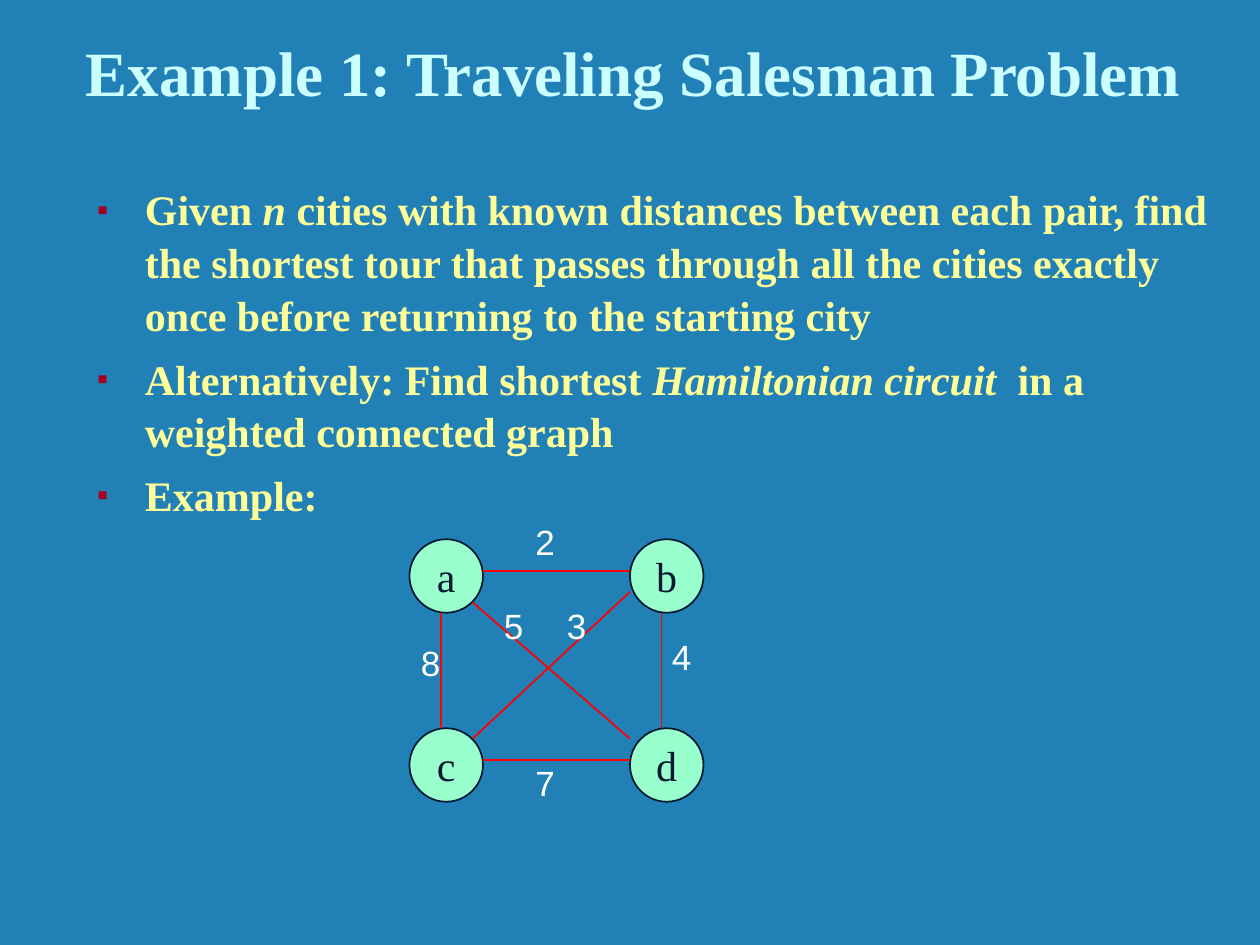
from dataclasses import dataclass

from lxml.etree import SubElement
from pptx import Presentation
from pptx.dml.color import RGBColor
from pptx.enum.shapes import MSO_CONNECTOR, MSO_SHAPE
from pptx.enum.text import MSO_ANCHOR, MSO_AUTO_SIZE, PP_ALIGN
from pptx.oxml.ns import qn
from pptx.shapes.base import BaseShape
from pptx.shapes.shapetree import GroupShapes
from pptx.text.text import TextFrame, _Paragraph
from pptx.util import Inches, Length, Pt


@dataclass(frozen=True)
class TextStyle:
    font: str
    size: int
    color: str
    bold: bool = False


@dataclass(frozen=True)
class Theme:
    background: str = "2181B7"
    bullet: str = "A50021"
    node_fill: str = "99FFCC"
    node_line: str = "001932"
    edge: str = "FF0000"
    title: TextStyle = TextStyle("Times New Roman", 36, "CCFFFF", True)
    body: TextStyle = TextStyle("Times New Roman", 24, "FFFF99", True)
    node: TextStyle = TextStyle("Times New Roman", 24, "001932")
    weight: TextStyle = TextStyle("Arial", 20, "FFFFFF")


@dataclass(frozen=True)
class City:
    name: str
    column: int
    row: int


@dataclass(frozen=True)
class Road:
    weight: str
    start: tuple[int, int]
    end: tuple[int, int]
    label: tuple[float, float]


THEME = Theme()
GRID_LEFT, GRID_TOP, GRID_UNIT = 3.25, 4.28, 1 / 12
CITY_SIZE, COLUMN_STEP, ROW_STEP = 7, 21, 18
LABEL_WIDTH, LABEL_HEIGHT = Inches(0.35), Inches(0.44)

CITIES = [City("a", 0, 0), City("b", 1, 0), City("c", 0, 1), City("d", 1, 1)]
ROADS = [
    Road("2", (7, 3), (21, 3), (12.9, 0.25)),
    Road("8", (3, 7), (3, 18), (2, 11.75)),
    Road("7", (7, 21), (21, 21), (12.9, 23.25)),
    Road("4", (24, 7), (24, 18), (25.9, 11.25)),
    Road("5", (6, 6), (21, 19), (9.9, 8.25)),
    Road("3", (21, 5), (6, 19), (15.9, 8.25)),
]
BULLETS = [
    [
        ("Given ", False),
        ("n", True),
        (" cities with known distances between each pair, find the shortest tour that "
         "passes through all the cities exactly once before returning to the starting city", False),
    ],
    [
        ("Alternatively: Find shortest ", False),
        ("Hamiltonian circuit", True),
        ("  in a weighted connected graph", False),
    ],
    [("Example:", False)],
]


def rgb(color: str) -> RGBColor:
    return RGBColor.from_string(color)


def grid_x(column: float) -> Length:
    return Inches(GRID_LEFT + column * GRID_UNIT)


def grid_y(row: float) -> Length:
    return Inches(GRID_TOP + row * GRID_UNIT)


def add_span(para: _Paragraph, text: str, style: TextStyle, italic: bool = False) -> None:
    span = para.add_run()
    span.text = text
    span.font.name = style.font
    span.font.size = Pt(style.size)
    span.font.bold = style.bold
    span.font.italic = italic
    span.font.color.rgb = rgb(style.color)


def place(box: BaseShape, left: float, top: float, width: float, height: float) -> None:
    box.left, box.top = Inches(left), Inches(top)
    box.width, box.height = Inches(width), Inches(height)


def add_bullet(para: _Paragraph) -> None:
    properties = para._p.get_or_add_pPr()
    properties.set("marL", str(Inches(0.38)))
    properties.set("indent", str(-Inches(0.38)))
    color = SubElement(properties, qn("a:buClr"))
    SubElement(color, qn("a:srgbClr"), val=THEME.bullet)
    SubElement(properties, qn("a:buSzPct"), val="75000")
    SubElement(properties, qn("a:buFont"), typeface="Arial")
    SubElement(properties, qn("a:buChar"), char="▪")


def fill_title(title: BaseShape) -> None:
    place(title, 0.58, 0.17, 9.42, 0.75)
    frame = title.text_frame
    frame.auto_size = MSO_AUTO_SIZE.NONE
    frame.vertical_anchor = MSO_ANCHOR.BOTTOM
    para = frame.paragraphs[0]
    para.alignment = PP_ALIGN.LEFT
    add_span(para, "Example 1: Traveling Salesman Problem", THEME.title)


def fill_body(body: BaseShape) -> None:
    place(body, 0.67, 1.39, 9.08, 5.36)
    frame = body.text_frame
    frame.auto_size = MSO_AUTO_SIZE.NONE
    for index, spans in enumerate(BULLETS):
        para = frame.add_paragraph() if index else frame.paragraphs[0]
        para.line_spacing = 1.05
        para.space_before = Pt(6)
        add_bullet(para)
        for text, italic in spans:
            add_span(para, text, THEME.body, italic)


def center_text(frame: TextFrame, text: str, style: TextStyle) -> None:
    frame.word_wrap = False
    para = frame.paragraphs[0]
    para.alignment = PP_ALIGN.CENTER
    add_span(para, text, style)


def draw_city(shapes: GroupShapes, city: City) -> None:
    size = Inches(CITY_SIZE * GRID_UNIT)
    node = shapes.add_shape(
        MSO_SHAPE.OVAL, grid_x(city.column * COLUMN_STEP), grid_y(city.row * ROW_STEP), size, size
    )
    node.shadow.inherit = False
    node.fill.solid()
    node.fill.fore_color.rgb = rgb(THEME.node_fill)
    node.line.color.rgb = rgb(THEME.node_line)
    node.line.width = Pt(1)
    node.text_frame.vertical_anchor = MSO_ANCHOR.MIDDLE
    center_text(node.text_frame, city.name, THEME.node)


def draw_road(shapes: GroupShapes, road: Road) -> None:
    line = shapes.add_connector(
        MSO_CONNECTOR.STRAIGHT,
        grid_x(road.start[0]), grid_y(road.start[1]),
        grid_x(road.end[0]), grid_y(road.end[1]),
    )
    line.line.color.rgb = rgb(THEME.edge)
    line.line.width = Pt(1)
    SubElement(line._element.spPr, qn("a:effectLst"))


def draw_weight(shapes: GroupShapes, road: Road) -> None:
    column, row = road.label
    box = shapes.add_textbox(
        grid_x(column) - LABEL_WIDTH // 2, grid_y(row) - LABEL_HEIGHT // 2, LABEL_WIDTH, LABEL_HEIGHT
    )
    box.text_frame.auto_size = MSO_AUTO_SIZE.SHAPE_TO_FIT_TEXT
    center_text(box.text_frame, road.weight, THEME.weight)


def main() -> None:
    deck = Presentation()
    deck.slide_width, deck.slide_height = Inches(10), Inches(7.5)
    page = deck.slides.add_slide(deck.slide_layouts[1])
    page.background.fill.solid()
    page.background.fill.fore_color.rgb = rgb(THEME.background)
    fill_title(page.shapes.title)
    fill_body(page.placeholders[1])
    graph = page.shapes.add_group_shape().shapes
    for city in CITIES:
        draw_city(graph, city)
    for road in ROADS:
        draw_road(graph, road)
    for road in ROADS:
        draw_weight(graph, road)
    deck.save("out.pptx")


if __name__ == "__main__":
    main()
